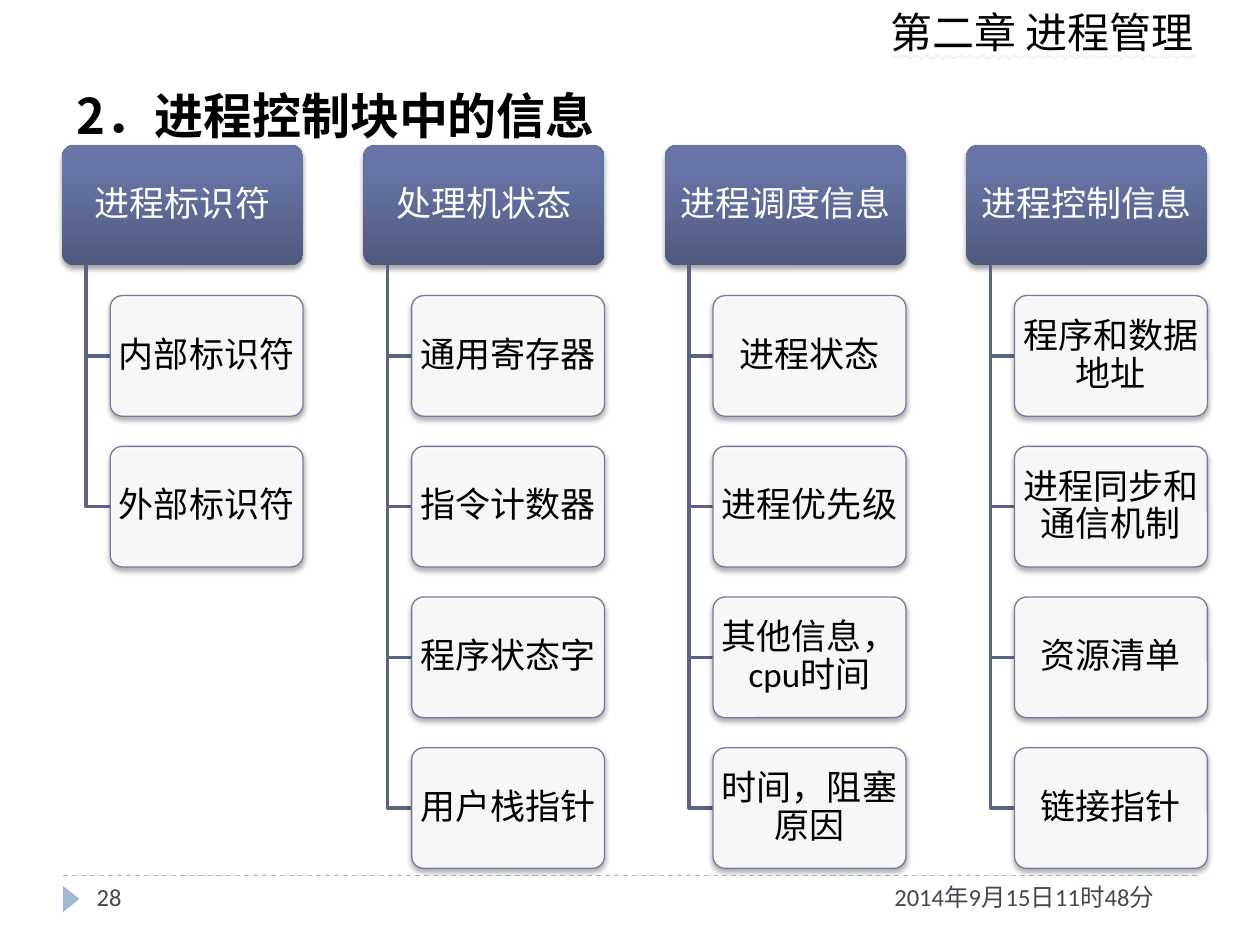
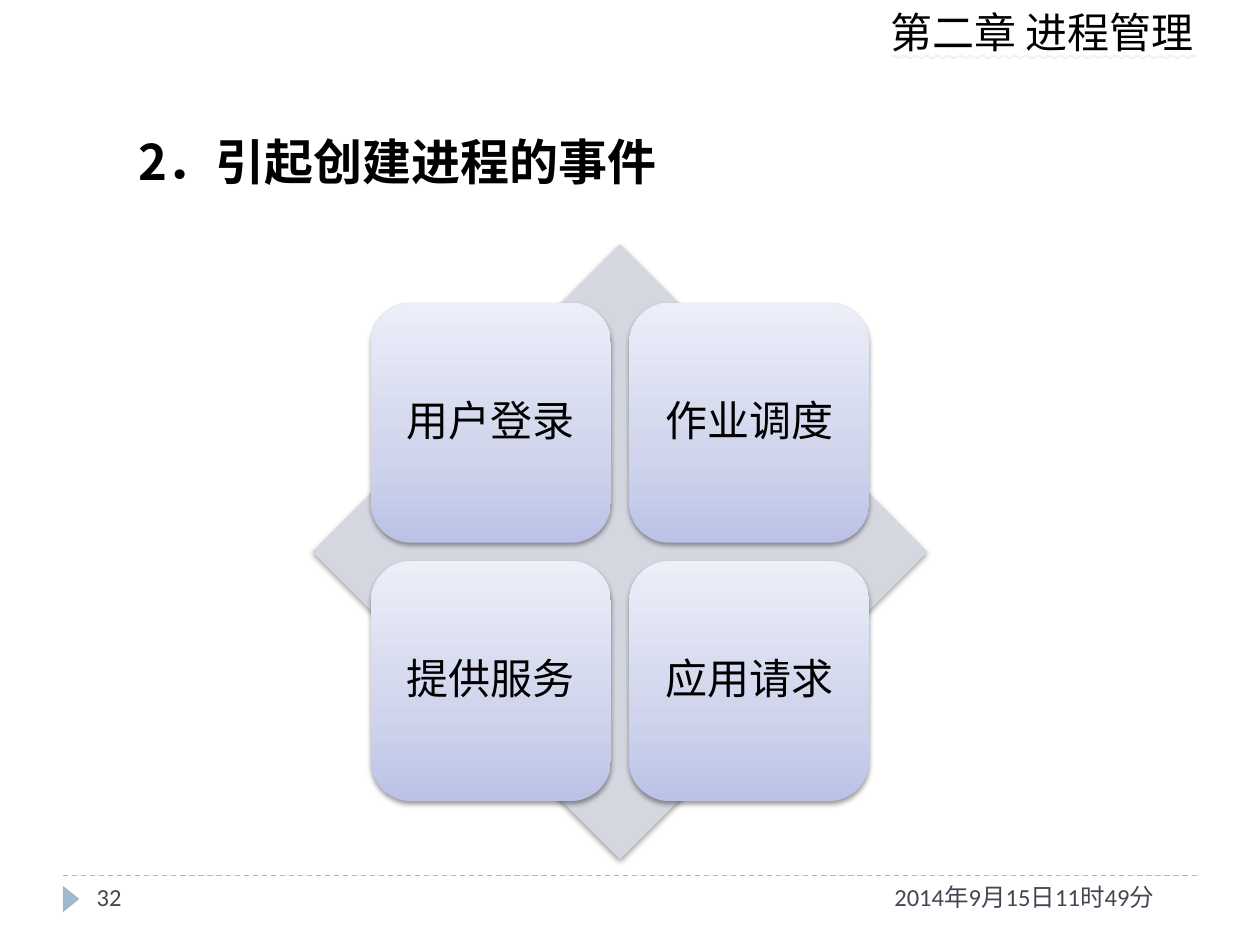
from itertools import product

from lxml.etree import SubElement
from pptx import Presentation
from pptx.dml.color import RGBColor
from pptx.enum.dml import MSO_LINE_DASH_STYLE as Dash
from pptx.enum.shapes import MSO_CONNECTOR as Connector, MSO_SHAPE as Shape
from pptx.enum.text import MSO_ANCHOR as Anchor, MSO_TEXT_UNDERLINE_TYPE as Underline, PP_ALIGN as Align
from pptx.oxml.ns import qn
from pptx.util import Pt

BLACK, WHITE, GREY = "000000", "FFFFFF", "464653"
ACCENT, BOX_LINE, ELBOW_LINE, DIAMOND = "9FB8CD", "727CA3", "5B6383", "D5D7E0"
WAVE = "CDB5E0"
HEADER_GRADIENT = [(0, "50597F"), (80, "6774A5"), (100, "6774A7")]
TILE_GRADIENT = [(0, "BBC2E6"), (35, "CFD4EC"), (100, "ECEEF8")]

CHAPTER = "第二章 进程管理"
CONTROL_BLOCK = {
    "进程标识符": ["内部标识符", "外部标识符"],
    "处理机状态": ["通用寄存器", "指令计数器", "程序状态字", "用户栈指针"],
    "进程调度信息": ["进程状态", "进程优先级", "其他信息，cpu时间", "时间，阻塞原因"],
    "进程控制信息": ["程序和数据地址", "进程同步和通信机制", "资源清单", "链接指针"],
}
EVENTS = ["用户登录", "作业调度", "提供服务", "应用请求"]


def rgb(value):
    return RGBColor.from_string(value)


def points(*values):
    return [Pt(value) for value in values]


def assign(target, values):
    for name, value in values.items():
        setattr(target, name, value)


def add_alpha(colour, percent):
    SubElement(colour, qn("a:alpha"), val=str(percent * 1000))


def add_colour(parent, value):
    return SubElement(parent, qn("a:srgbClr"), val=value)


class Deck:
    latin_font = "Calibri"
    asian_font = "Noto Sans CJK SC"

    def __init__(self):
        self.presentation = Presentation()
        assign(self.presentation, {"slide_width": Pt(720), "slide_height": Pt(540)})
        self.slide = None

    def new_slide(self, number, date):
        """Add a slide with the chapter heading and the footer."""
        self.slide = self.presentation.slides.add_slide(self.presentation.slide_layouts[6])
        self.rule(36, 500.4, 684)
        marker = self.shape(Shape.ISOSCELES_TRIANGLE, (33.1, 509, 15.1, 9.4), ACCENT)
        marker.rotation = 90
        chapter_run = self.text((501.8, 0, 191.5, 36), CHAPTER, 24, wrap=False)
        chapter_run.font.underline = Underline.WAVY_DOUBLE_LINE
        properties = chapter_run.font._element
        underline_fill = properties.makeelement(qn("a:uFill"))
        add_colour(SubElement(underline_fill, qn("a:solidFill")), WAVE)
        properties.find(qn("a:latin")).addprevious(underline_fill)
        self.text((504, 500.4, 180, 28.8), date, 14, GREY)
        self.text((48.2, 500.4, 156, 28.8), number, 14, GREY)

    def add_run(self, frame, text, size, colour, font=None, bold=False, **paragraph_format):
        paragraph = frame.paragraphs[0]
        assign(paragraph, paragraph_format)
        run = paragraph.add_run()
        run.text = text
        assign(run.font, {"name": font or self.latin_font, "size": Pt(size), "bold": bold})
        run.font.color.rgb = rgb(colour)
        latin = run.font._element.find(qn("a:latin"))
        latin.addnext(latin.makeelement(qn("a:ea"), typeface=self.asian_font))
        return run

    def text(self, bounds, text, size, colour=BLACK, wrap=True, indent=0, **text_format):
        frame = self.slide.shapes.add_textbox(*points(*bounds)).text_frame
        assign(frame, {"word_wrap": wrap, "margin_left": Pt(7.2 + indent)})
        return self.add_run(frame, text, size, colour, **text_format)

    def title(self, top, height, text, line_spacing, indent=0):
        self.text((36.7, top, 646.6, height), text, 28, indent=indent, font=self.asian_font,
                  bold=True, line_spacing=line_spacing, space_before=Pt(6))

    def rule(self, left, top, right):
        rule = self.slide.shapes.add_connector(Connector.STRAIGHT, *points(left, top, right, top))
        assign(rule.line, {"width": Pt(0.75), "dash_style": Dash.DASH})
        rule.line.color.rgb = rgb(ACCENT)
        SubElement(rule._element.spPr, qn("a:effectLst"))

    def elbow(self, left, top, right, bottom):
        """Draw a line that goes down and then right."""
        builder = self.slide.shapes.build_freeform(*points(left, top))
        builder.add_line_segments([points(left, bottom), points(right, bottom)], close=False)
        elbow = builder.convert_to_shape()
        elbow.shadow.inherit = False
        elbow.fill.background()
        elbow.line.width = Pt(2)
        elbow.line.color.rgb = rgb(ELBOW_LINE)

    def shape(self, kind, bounds, fill, line=None, corner=None, alpha=None, shadow=None):
        """Add a shape; fill is a colour or gradient stops, shadow is (alpha, distance)."""
        shape = self.slide.shapes.add_shape(kind, *points(*bounds))
        if corner:
            shape.adjustments[0] = corner
        if isinstance(fill, list):
            self.gradient(shape, fill)
        else:
            shape.fill.solid()
            shape.fill.fore_color.rgb = rgb(fill)
        if alpha is not None:
            add_alpha(shape._element.spPr.find(f"{qn('a:solidFill')}/{qn('a:srgbClr')}"), alpha)
        if line:
            shape.line.width = Pt(0.75)
            shape.line.color.rgb = rgb(line)
        else:
            shape.line.fill.background()
        shape.shadow.inherit = False
        if shadow:
            opacity, distance = shadow
            effects = shape._element.spPr.find(qn("a:effectLst"))
            outer = SubElement(effects, qn("a:outerShdw"), blurRad=str(Pt(3.1)),
                               dist=str(Pt(distance)), dir="5400000", rotWithShape="0")
            add_alpha(add_colour(outer, BLACK), opacity)
        return shape

    def gradient(self, shape, stops):
        """Fill from bottom to top with (percent, colour) stops."""
        shape.fill.gradient()
        shape.fill.gradient_angle = 90
        stop_list = shape._element.spPr.find(f"{qn('a:gradFill')}/{qn('a:gsLst')}")
        stop_list.clear()
        for percent, colour in stops:
            add_colour(SubElement(stop_list, qn("a:gs"), pos=str(percent * 1000)), colour)

    def box(self, bounds, text, size, margins, colour=BLACK, **shape_format):
        """Add a rounded box with centred text; margins are (side, top and bottom)."""
        frame = self.shape(Shape.ROUNDED_RECTANGLE, bounds, **shape_format).text_frame
        side, edge = points(*margins)
        assign(frame, {"word_wrap": True, "vertical_anchor": Anchor.MIDDLE, "margin_left": side,
                       "margin_right": side, "margin_top": edge, "margin_bottom": edge})
        self.add_run(frame, text, size, colour, alignment=Align.CENTER, line_spacing=0.9)


def control_block_slide(deck):
    deck.new_slide("28", "2014年9月15日11时48分")
    deck.title(31.7, 56.9, "2．进程控制块中的信息", 1.4)
    first_left, top, width = 35.4, 82.8, 137.8
    height = width / 2
    style = {"size": 20, "margins": (2.9, 2), "corner": 0.1, "shadow": (35, 1.8)}
    for column, (heading, items) in enumerate(CONTROL_BLOCK.items()):
        left = first_left + column * width * 1.25
        item_left = left + width * 0.2
        deck.box((left, top, width, height), heading, colour=WHITE, fill=HEADER_GRADIENT, **style)
        for row, item in enumerate(items, start=1):
            item_top = top + row * height * 1.25
            deck.elbow(left + width * 0.1, top + height, item_left, item_top + height / 2)
            deck.box((item_left, item_top, width * 0.8, height), item,
                     fill=WHITE, alpha=90, line=BOX_LINE, **style)


def events_slide(deck):
    deck.new_slide("32", "2014年9月15日11时49分")
    deck.title(54.7, 62.6, "2．引起创建进程的事件", 1.5, indent=35)
    left, top, size = 178.6, 139.7, 351.4
    shadow = (38, 1.6)
    deck.shape(Shape.DIAMOND, (left, top, size, size), DIAMOND, shadow=shadow)
    tile, pitch, offset = size * 0.39, size * 0.42, size * 0.095
    for (row, column), event in zip(product(range(2), repeat=2), EVENTS):
        bounds = (left + offset + column * pitch, top + offset + row * pitch, tile, tile)
        deck.box(bounds, event, 24, (7.2, 7.2), fill=TILE_GRADIENT, shadow=shadow)


def main():
    deck = Deck()
    control_block_slide(deck)
    events_slide(deck)
    deck.presentation.save("out.pptx")


if __name__ == "__main__":
    main()
